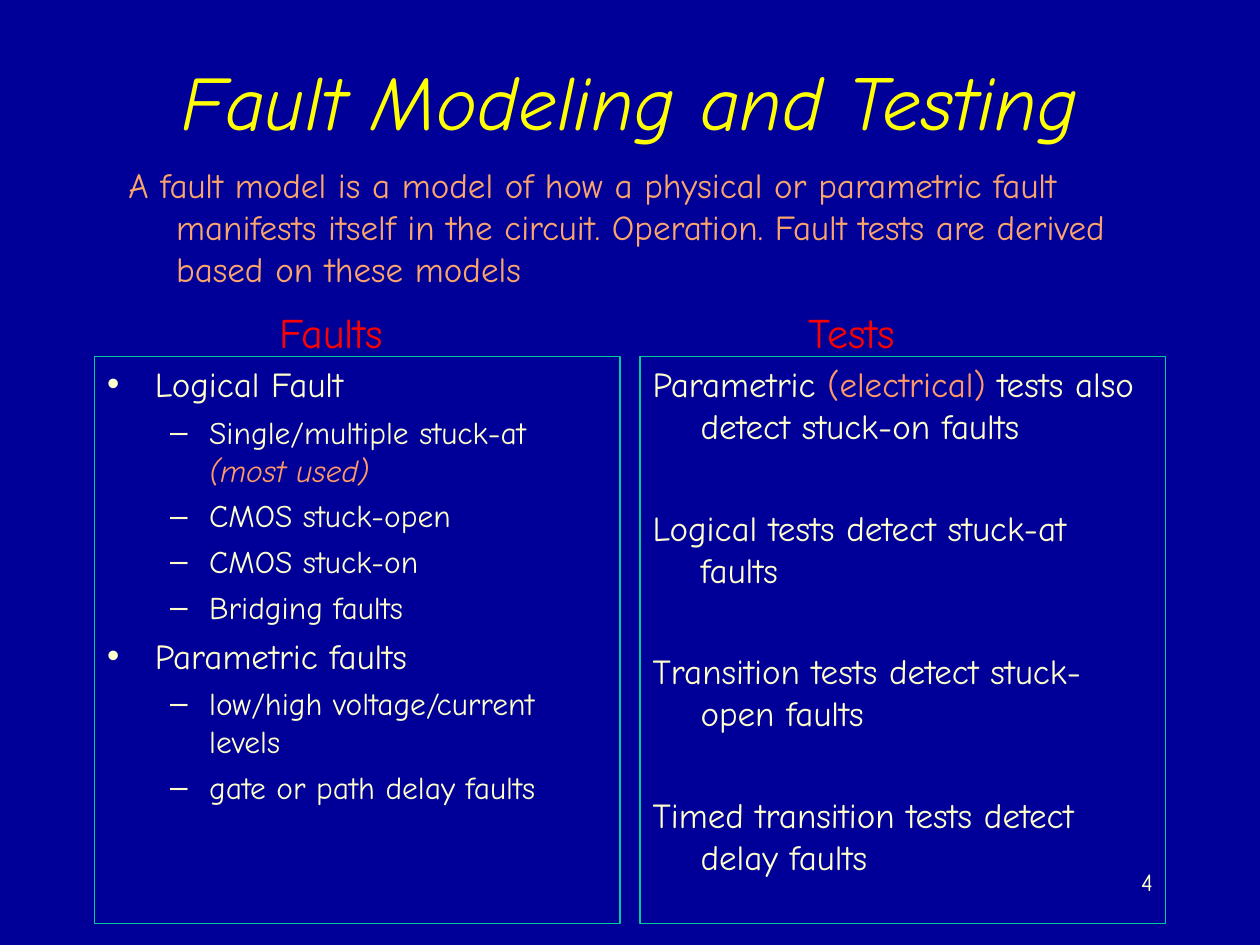
"""Build the slide on fault modeling and testing."""
from dataclasses import dataclass

from lxml.etree import SubElement
from pptx import Presentation
from pptx.dml.color import RGBColor
from pptx.enum.text import MSO_ANCHOR, MSO_AUTO_SIZE, PP_ALIGN
from pptx.oxml.ns import qn
from pptx.util import Inches, Pt


@dataclass(frozen=True)
class Theme:
    face: str = "Comic Neue"
    back: str = "000099"
    title: str = "FFFF00"
    text: str = "FFFFCC"
    accent: str = "FF9966"
    intro: str = "FBA56B"
    label: str = "FF0000"
    edge: str = "00CC99"
    title_size: int = 44
    label_size: int = 24
    body_size: int = 20
    sub_size: int = 18
    page_size: int = 14


theme = Theme()


def place(shape, left, top, width, height, anchor=MSO_ANCHOR.TOP, wrap=True):
    shape.left, shape.top = Inches(left), Inches(top)
    shape.width, shape.height = Inches(width), Inches(height)
    frame = shape.text_frame
    frame.auto_size = MSO_AUTO_SIZE.NONE
    frame.word_wrap = wrap
    frame.vertical_anchor = anchor
    return frame


def write(frame, parts, size, color, gap=0, margin=0, indent=0, mark="",
          level=0, align=PP_ALIGN.LEFT, slant=False):
    para = frame.paragraphs[0]
    if para.runs:
        para = frame.add_paragraph()
        para.space_before = Pt(gap)
    else:
        para.space_before = Pt(0)
    para.level = level
    para.alignment = align
    props = para._p.get_or_add_pPr()
    props.set("marL", str(Inches(margin)))
    props.set("indent", str(Inches(indent)))
    if mark:
        tint = SubElement(props, qn("a:buClr"))
        SubElement(tint, qn("a:srgbClr"), val=color)
        SubElement(props, qn("a:buChar"), char=mark)
    else:
        SubElement(props, qn("a:buNone"))
    font = para.font
    font.name, font.size, font.italic = theme.face, Pt(size), slant
    font.color.rgb = RGBColor.from_string(color)
    for part in parts:
        para.add_run().text = part
    return para


deck = Presentation()
deck.slide_width, deck.slide_height = Inches(10), Inches(7.5)
slide = deck.slides.add_slide(deck.slide_layouts[3])
slide.background.fill.solid()
slide.background.fill.fore_color.rgb = RGBColor.from_string(theme.back)
title, faults, tests = slide.placeholders

frame = place(title, 0.75, 0.17, 8.5, 1.25, MSO_ANCHOR.MIDDLE)
write(frame, ["Fault Modeling and Testing"], theme.title_size, theme.title,
      align=PP_ALIGN.CENTER, slant=True)

for panel, left in ((faults, 0.75), (tests, 5.08)):
    place(panel, left, 2.83, 4.17, 4.5)
    panel.line.color.rgb = RGBColor.from_string(theme.edge)
    panel.line.width = Pt(0.75)

groups = (
    ("Logical Fault", (["Single/multiple stuck-at ", "(most used)"],
                       ["CMOS stuck-open"], ["CMOS stuck-on"],
                       ["Bridging faults"])),
    ("Parametric faults", (["low/high voltage/current levels"],
                           ["gate or path delay faults"])),
)
for head, items in groups:
    write(faults.text_frame, [head], theme.body_size, theme.text, gap=5,
          margin=0.38, indent=-0.38, mark="•")
    for parts in items:
        para = write(faults.text_frame, parts, theme.sub_size, theme.text,
                     gap=4.5, margin=0.81, indent=-0.31, mark="–", level=1)
        for run in para.runs[1:]:
            run.font.italic = True
            run.font.color.rgb = RGBColor.from_string(theme.accent)

checks = (
    ["Parametric ", "(electrical)", " tests also detect stuck-on faults"],
    ["Logical tests detect stuck-at faults"],
    ["Transition tests detect stuck-open faults"],
    ["Timed transition tests detect delay faults"],
)
for parts in checks:
    para = write(tests.text_frame, parts, theme.body_size, theme.text, gap=34,
                 margin=0.38, indent=-0.38)
    for run in para.runs[1:2]:
        run.font.color.rgb = RGBColor.from_string(theme.accent)

intro = slide.shapes.add_textbox(0, 0, 0, 0)
write(place(intro, 0.92, 1.25, 8.5, 1.5),
      ["A fault model is a model of how a physical or parametric fault "
       "manifests itself in the circuit. Operation. Fault tests are derived "
       "based on these models"],
      theme.body_size, theme.intro, margin=0.38, indent=-0.38)

for name, left, width in (("Faults", 2.12, 1.15), ("Tests", 6.32, 1.02)):
    label = slide.shapes.add_textbox(0, 0, 0, 0)
    write(place(label, left, 2.38, width, 0.5, wrap=False), [name],
          theme.label_size, theme.label)

page = slide.shapes.add_textbox(0, 0, 0, 0)
write(place(page, 7.17, 6.83, 2.08, 0.5), ["4"], theme.page_size, theme.text,
      align=PP_ALIGN.RIGHT)

deck.save("out.pptx")
